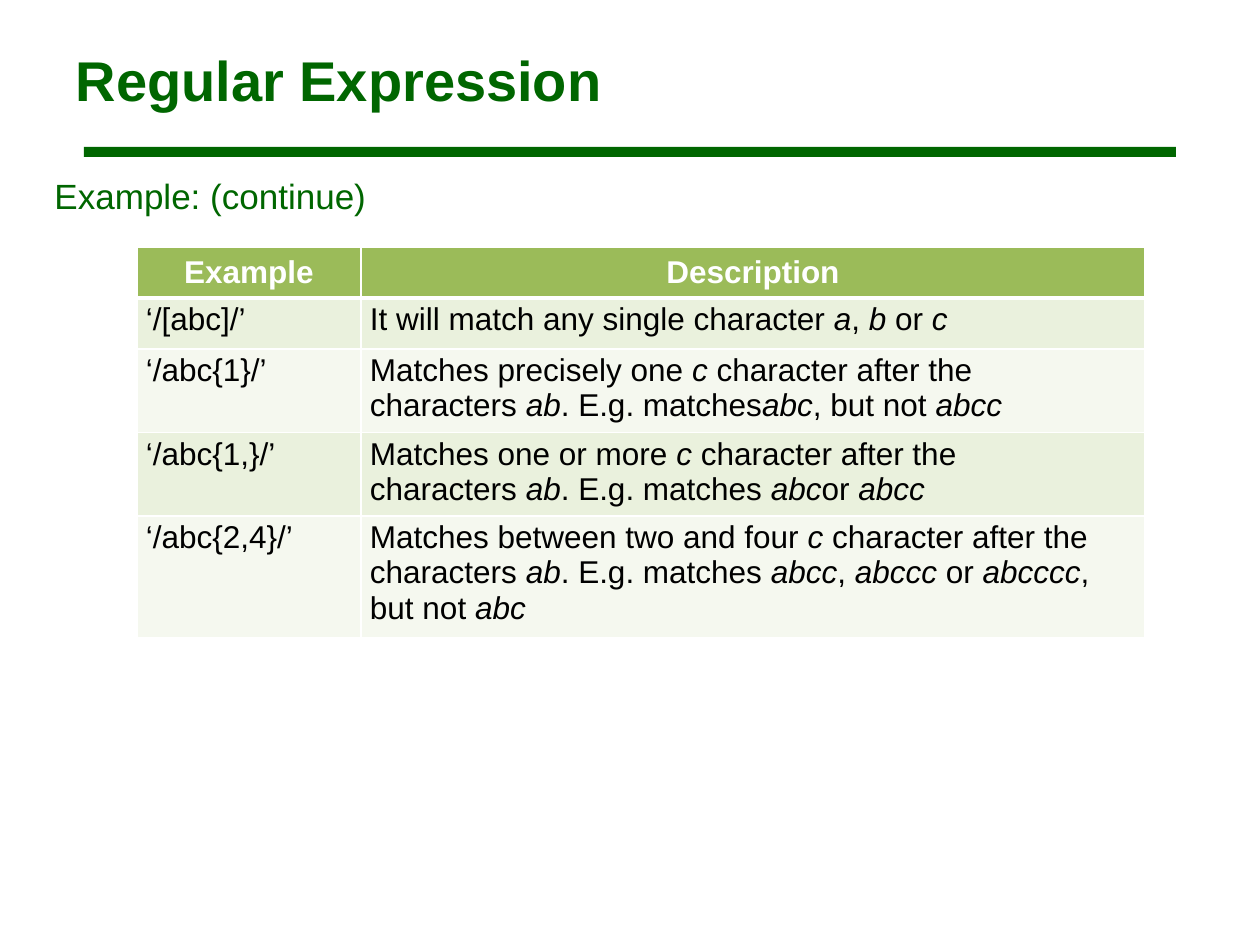
"""Build a slide with a table of regular expression examples."""
from lxml import etree
from pptx import Presentation
from pptx.dml.color import RGBColor
from pptx.enum.shapes import MSO_SHAPE
from pptx.enum.text import MSO_ANCHOR, PP_ALIGN
from pptx.oxml.ns import qn
from pptx.util import Pt

RECT = MSO_SHAPE.RECTANGLE
TOP, MIDDLE = MSO_ANCHOR.TOP, MSO_ANCHOR.MIDDLE
LEFT, CENTER = PP_ALIGN.LEFT, PP_ALIGN.CENTER

GREEN = RGBColor(0x00, 0x66, 0x00)
HEADER = RGBColor(0x9B, 0xBB, 0x59)
BANDS = RGBColor(0xEA, 0xF1, 0xDD), RGBColor(0xF5, 0xF8, 0xEF)
BLACK = RGBColor(0, 0, 0)
WHITE = RGBColor(0xFF, 0xFF, 0xFF)
FONT = "Arial"
NBSP = chr(160)

TITLE = "Regular Expression"
SUBTITLE = "Example: (continue)"
ROWS = [
    ("Example", "Description"),
    ("‘/[abc]/’", "It will match any single character *a*, *b* or *c*"),
    ("‘/abc{1}/’", "Matches precisely one *c* character after the characters *ab*"
     ". E.g. matches*abc*, but not *abcc*"),
    ("‘/abc{1,}/’", "Matches one or more *c* character after the characters *ab*"
     ". E.g. matches *abc*or *abcc*"),
    ("‘/abc{2,4}/’", "Matches between two and four *c* character after the characters *ab*"
     ". E.g. matches *abcc*, *abccc* or *abcccc*, but not *abc*"),
]
COLUMNS = 224, 784
ROW_HEIGHTS = 51, 51, 78, 78, 113


def px(n):
    return round(n * 914400 / 126)


def box(*lengths):
    return [px(n) for n in lengths]


def add_run(p, text, size, color, bold=False, italic=False):
    r = p.add_run()
    r.text = text
    f = r.font
    f.name, f.size, f.bold, f.italic = FONT, Pt(size), bold, italic
    f.color.rgb = color


def add_marked(p, text, size, color, bold):
    """Add runs, with *starred* parts in italics and fixed spaces beside them."""
    pieces = text.split("*")
    for i, piece in enumerate(pieces):
        if piece:
            if len(pieces) > 1 and piece[0] == " ":
                piece = NBSP + piece[1:]
            if len(pieces) > 1 and piece[-1] == " ":
                piece = piece[:-1] + NBSP
            add_run(p, piece, size, color, bold, i % 2 == 1)


def add_borders(cell, widths):
    tcPr = cell._tc.get_or_add_tcPr()
    for i, (side, width) in enumerate(zip("LRTB", widths)):
        ln = etree.Element(qn(f"a:ln{side}"), w=str(Pt(width)))
        fill = etree.SubElement(ln, qn("a:solidFill"))
        etree.SubElement(fill, qn("a:srgbClr"), val=str(WHITE))
        tcPr.insert(i, ln)


def fill_cell(cell, text, row):
    head = row == 0
    cell.fill.solid()
    cell.fill.fore_color.rgb = HEADER if head else BANDS[(row - 1) % 2]
    cell.margin_left = cell.margin_right = px(9)
    cell.margin_top = cell.margin_bottom = px(4)
    cell.vertical_anchor = MIDDLE if head else TOP
    p = cell.text_frame.paragraphs[0]
    p.alignment = CENTER if head else LEFT
    add_marked(p, text, 18, WHITE if head else BLACK, head)
    add_borders(cell, (1, 1, 3 if row == 1 else 1, 3 if head else 1))


def main():
    prs = Presentation()
    prs.slide_width, prs.slide_height = box(1260, 945)
    s = prs.slides.add_slide(prs.slide_layouts[5])

    rule = s.shapes.add_shape(RECT, *box(84, 147, 1092, 10))
    rule.shadow.inherit = False
    rule.fill.solid()
    rule.fill.fore_color.rgb = GREEN
    rule.line.fill.background()

    title = s.shapes.title
    title.left, title.top, title.width, title.height = box(63, 21, 1134, 116)
    title.text_frame.vertical_anchor = MIDDLE
    p = title.text_frame.paragraphs[0]
    p.alignment = LEFT
    add_run(p, TITLE, 32, GREEN, bold=True)

    tf = s.shapes.add_textbox(*box(42, 168, 714, 63)).text_frame
    tf.word_wrap = True
    add_run(tf.paragraphs[0], SUBTITLE, 20, GREEN)

    size = sum(COLUMNS), sum(ROW_HEIGHTS)
    table = s.shapes.add_table(len(ROWS), len(COLUMNS), *box(137, 247, *size)).table
    for column, width in zip(table.columns, COLUMNS):
        column.width = px(width)
    for i, (row, height) in enumerate(zip(table.rows, ROW_HEIGHTS)):
        row.height = px(height)
        for cell, text in zip(row.cells, ROWS[i]):
            fill_cell(cell, text, i)

    prs.save("out.pptx")


if __name__ == "__main__":
    main()
